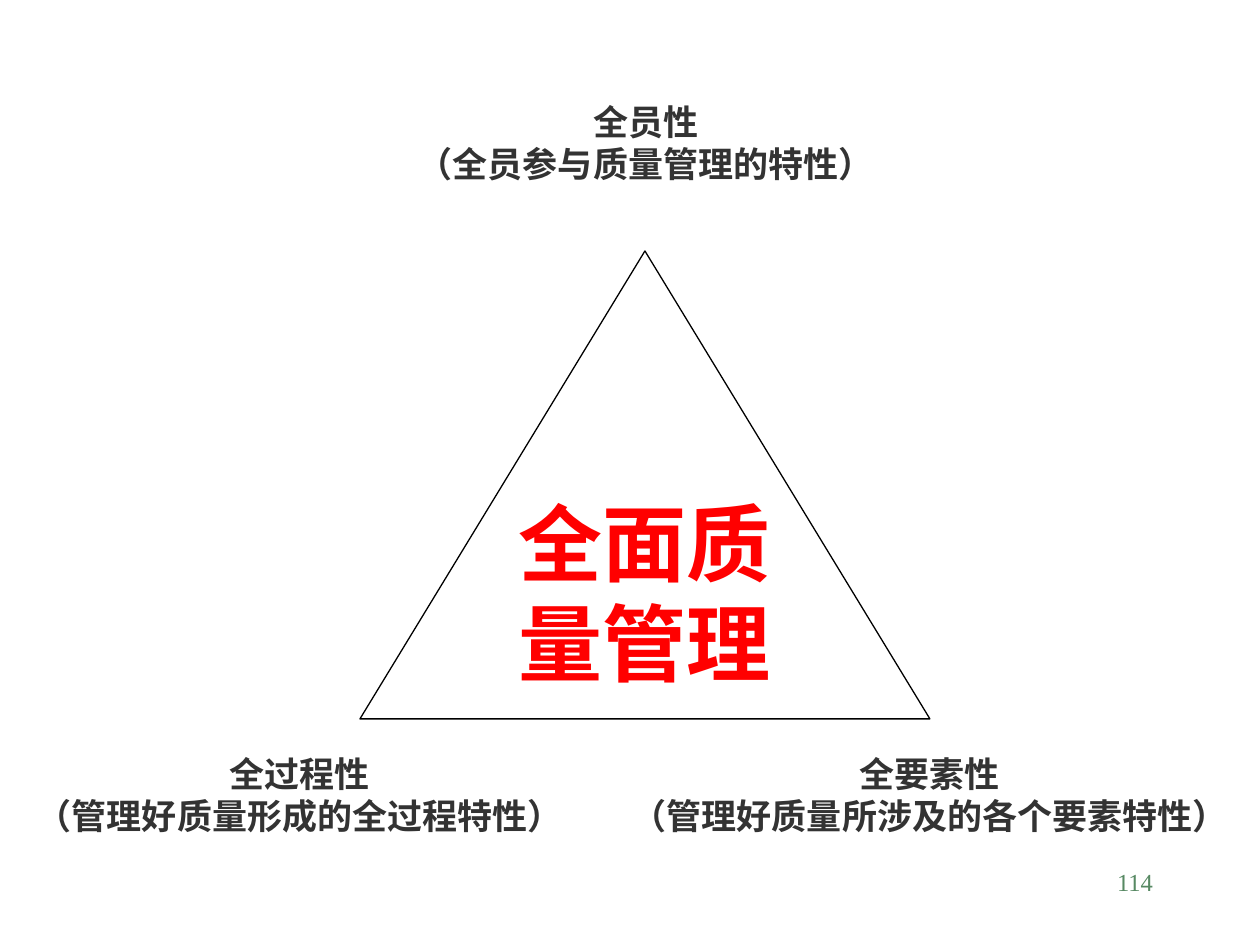
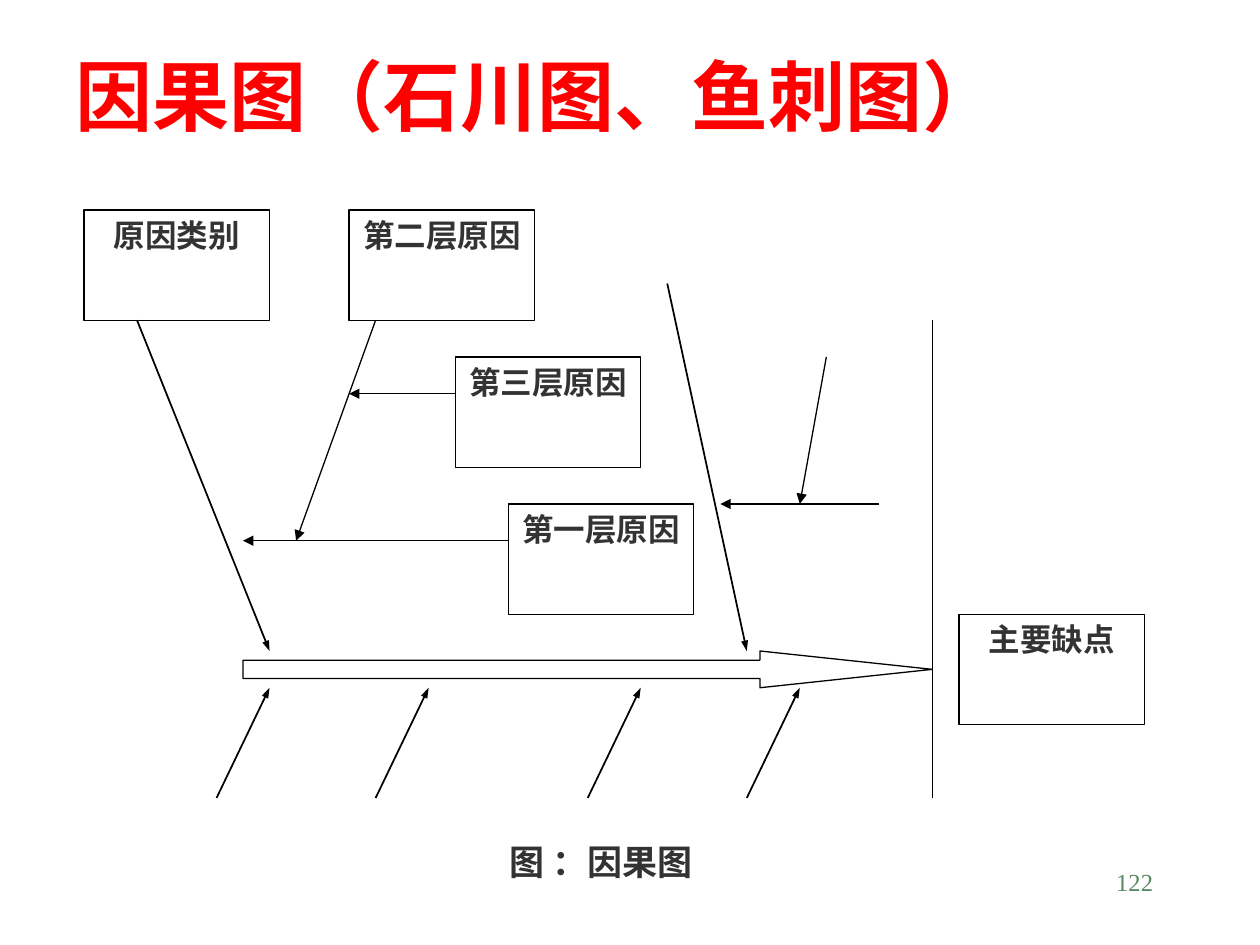
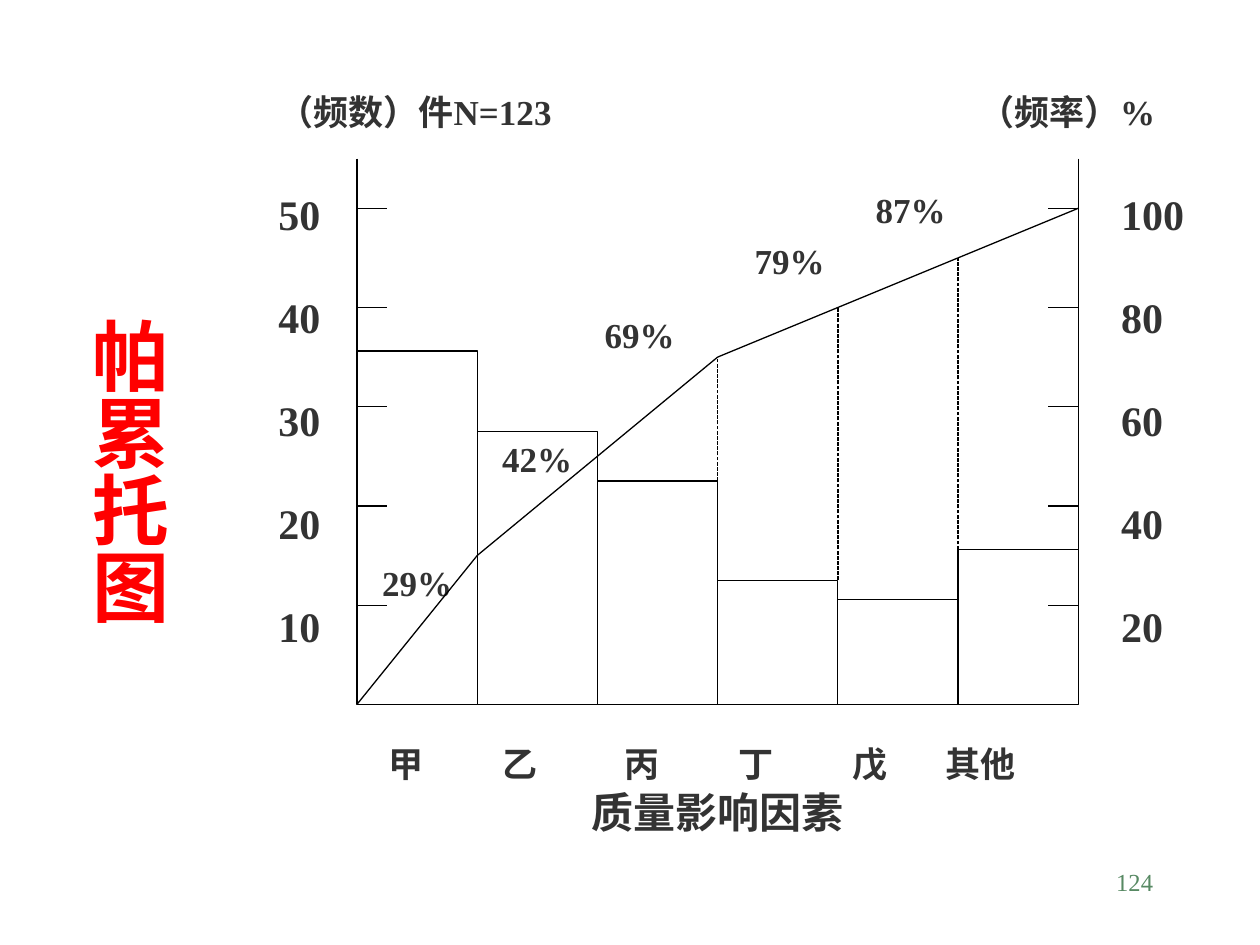
import pptx
import pptx.dml.color
import pptx.enum.dml
import pptx.enum.shapes
import pptx.enum.text
import pptx.oxml.ns
import pptx.oxml.xmlchemy
import pptx.util

Pt = pptx.util.Pt
RGBColor = pptx.dml.color.RGBColor
Shape = pptx.enum.shapes.MSO_SHAPE
Align = pptx.enum.text.PP_ALIGN
Anchor = pptx.enum.text.MSO_ANCHOR
qn = pptx.oxml.ns.qn
new_element = pptx.oxml.xmlchemy.OxmlElement

WHITE = RGBColor(0xFF, 0xFF, 0xFF)
BLACK = RGBColor(0x00, 0x00, 0x00)
RED = RGBColor(0xFF, 0x00, 0x00)
DARK = RGBColor(0x33, 0x33, 0x33)
GREEN = RGBColor(0x57, 0x89, 0x63)
FONT = "Times New Roman"
TITLE_SIZE = 44

# Fishbone grid
GRID_LEFT, GRID_TOP = 48, 120
COLUMN, ROW = 15.15, 21

# Pareto plot: one tick is 10 pieces or 20 %
PLOT_LEFT, PLOT_RIGHT = 204, 616.2
AXIS_TOP, PLOT_BOTTOM = 90.7, 402.5
TICK_STEP, TICK_LENGTH = 56.7, 17.3
SLOT = (PLOT_RIGHT - PLOT_LEFT) / 6
BAR_COUNTS = [35.6, 27.5, 22.5, 12.5, 10.6, 15.6]
CURVE_PERCENTS = [0, 30, 50, 70, 80, 90, 100]
CATEGORIES = ["甲", "乙", "丙", "丁", "戊", "其他"]
CATEGORY_STOPS = [21, 86, 156, 221, 286, 349]


def add_span(para, text, size, color=DARK, bold=True):
    span = para.add_run()
    span.text = text
    span.font.name = FONT
    span.font.size = Pt(size)
    span.font.bold = bold
    span.font.color.rgb = color


def add_lines(box, lines, size, color=DARK, align=Align.CENTER, gap=0, bold=True):
    """Write each line as a paragraph, with gap points between paragraphs."""
    frame = box.text_frame
    for index, line in enumerate(lines):
        para = frame.add_paragraph() if index else frame.paragraphs[0]
        para.alignment = align
        if index and gap:
            para.space_before = Pt(gap)
        add_span(para, line, size, color, bold)


def add_box(page, left, top, width, height, kind=Shape.RECTANGLE, outlined=False):
    box = page.shapes.add_shape(kind, Pt(left), Pt(top), Pt(width), Pt(height))
    box.shadow.inherit = False
    box.fill.solid()
    box.fill.fore_color.rgb = WHITE
    if outlined:
        box.line.color.rgb = BLACK
        box.line.width = Pt(0.75)
    else:
        box.line.fill.background()
    box.text_frame.word_wrap = True
    box.text_frame.vertical_anchor = Anchor.TOP
    return box


def add_label(page, left, top, width, height, lines, size=20, **style):
    add_lines(add_box(page, left, top, width, height), lines, size, **style)


def add_text_box(page, left, top, width, height):
    box = page.shapes.add_textbox(Pt(left), Pt(top), Pt(width), Pt(height))
    box.text_frame.word_wrap = True
    return box


def add_page_number(page, number):
    box = add_text_box(page, 516, 492, 150, 36)
    add_lines(box, [str(number)], 14, GREEN, Align.RIGHT, bold=False)


def add_line(page, start, end, weight=0.75, head_width=None, dotted=False):
    """Draw a line; head_width (sm, med, lg) puts an arrowhead at its end."""
    line = page.shapes.add_connector(
        pptx.enum.shapes.MSO_CONNECTOR.STRAIGHT, *[Pt(value) for value in (*start, *end)])
    line.line.color.rgb = BLACK
    line.line.width = Pt(weight)
    if dotted:
        line.line.dash_style = pptx.enum.dml.MSO_LINE.SQUARE_DOT
    properties = line._element.spPr
    if head_width:
        head = new_element("a:tailEnd")
        head.set("type", "triangle")
        head.set("w", head_width)
        properties.find(qn("a:ln")).append(head)
    properties.append(new_element("a:effectLst"))


def add_center_stops(para, stops):
    tabs = new_element("a:tabLst")
    for stop in stops:
        tab = new_element("a:tab")
        tab.set("pos", str(int(Pt(stop))))
        tab.set("algn", "ctr")
        tabs.append(tab)
    para._p.get_or_add_pPr().append(tabs)


def grid(column, row):
    return GRID_LEFT + column * COLUMN, GRID_TOP + row * ROW


def slot_left(index):
    return PLOT_LEFT + index * SLOT


def level(ticks):
    return PLOT_BOTTOM - ticks * TICK_STEP


def build_triangle(page):
    triangle = add_box(page, 205.7, 143.4, 325.7, 267.4, Shape.ISOSCELES_TRIANGLE, True)
    add_lines(triangle, ["全面质量管理"], 48, RED)
    for left, top, width, lines in [
        (223.2, 54, 291.6, ["全员性", "（全员参与质量管理的特性）"]),
        (0, 426.2, 342.7, ["全过程性", "（管理好质量形成的全过程特性）"]),
        (342.7, 426.2, 377.3, ["全要素性", "（管理好质量所涉及的各个要素特性）"]),
    ]:
        add_label(page, left, top, width, 77.8, lines)


def build_fishbone(page):
    title = add_text_box(page, 36, 30, 660, 48)
    title.text_frame.vertical_anchor = Anchor.MIDDLE
    add_lines(title, ["因果图（石川图、鱼刺图）"], TITLE_SIZE, RED, Align.LEFT)

    for column, row, text in [
        (0, 0, "原因类别"), (10, 0, "第二层原因"), (14, 4, "第三层原因"),
        (16, 8, "第一层原因"), (33, 11, "主要缺点"),
    ]:
        box = add_box(page, *grid(column, row), 7 * COLUMN, 3 * ROW, outlined=True)
        add_lines(box, [text], 18)

    add_line(page, grid(32, 3), grid(32, 16))
    spine = add_box(page, *grid(6, 12), 26 * COLUMN, ROW, Shape.RIGHT_ARROW, True)
    spine.adjustments[1] = 4.69

    lower_ribs = [((column, 16), (column + 2, 13)) for column in (5, 11, 19, 25)]
    for start, end in [((2, 3), (7, 12)), ((22, 2), (25, 12)), *lower_ribs]:
        add_line(page, grid(*start), grid(*end), weight=1, head_width="sm")
    for start, end in [
        ((16, 9), (6, 9)), ((11, 3), (8, 9)), ((14, 5), (10, 5)),
        ((30, 8), (24, 8)), ((28, 4), (27, 8)),
    ]:
        add_line(page, grid(*start), grid(*end), head_width="med")

    add_label(page, *grid(14, 17), 11 * COLUMN, 3 * ROW, ["图 ：因果图"])


def add_pareto_bars(page):
    bars = []
    for index, count in enumerate(BAR_COUNTS):
        top = level(count / 10)
        bars.append(add_box(page, slot_left(index), top, SLOT, PLOT_BOTTOM - top, outlined=True))
    bars[0].text_frame.margin_top = Pt(120)
    add_lines(bars[0], ["29%"], 20)
    add_lines(bars[1], ["42%"], 20)


def add_pareto_labels(page):
    add_label(page, 152, 48, 172, 42.5, ["（频数）件N=123"], align=Align.JUSTIFY)
    add_label(page, 547.2, 48, 120, 42.5, ["（频率）%"], align=Align.RIGHT)
    ticks = range(5, 0, -1)
    for left, width, unit in [(152, 52, 10), (633.6, 68.4, 20)]:
        add_label(page, left, 104.4, width, 269.3, [str(tick * unit) for tick in ticks],
                  24, align=Align.LEFT, gap=30)
    for left, top, text in [(324, 175.7, "69%"), (409.7, 133.2, "79%"), (478.8, 104.4, "87%")]:
        add_label(page, left, top, SLOT, 42.5, [text], align=Align.RIGHT)

    names = add_box(page, PLOT_LEFT, 417, PLOT_RIGHT - PLOT_LEFT, 99.4)
    para = names.text_frame.paragraphs[0]
    para.alignment = Align.LEFT
    add_center_stops(para, CATEGORY_STOPS)
    add_span(para, "\t", 24)
    add_span(para, "\t".join(CATEGORIES), 20)
    para = names.text_frame.add_paragraph()
    para.alignment = Align.CENTER
    add_span(para, "质量影响因素", 24)


def add_pareto_lines(page):
    for axis, tick_start in [(PLOT_LEFT, PLOT_LEFT), (PLOT_RIGHT, PLOT_RIGHT - TICK_LENGTH)]:
        add_line(page, (axis, AXIS_TOP), (axis, PLOT_BOTTOM))
        for tick in range(1, 6):
            add_line(page, (tick_start, level(tick)), (tick_start + TICK_LENGTH, level(tick)))

    points = [(slot_left(index), level(percent / 20))
              for index, percent in enumerate(CURVE_PERCENTS)]
    for start, end in zip(points, points[1:]):
        add_line(page, start, end)
    for index in (3, 4, 5):
        bar_top = level(max(BAR_COUNTS[index - 1:index + 1]) / 10)
        add_line(page, (points[index][0], bar_top), points[index], dotted=True)


def build_pareto(page):
    add_pareto_bars(page)
    add_pareto_labels(page)
    add_pareto_lines(page)

    title = page.shapes.add_textbox(Pt(36), Pt(174.2), Pt(67), Pt(183.6))
    frame = title.text_frame
    frame.margin_left = frame.margin_right = Pt(3.6)
    frame.margin_top = frame.margin_bottom = Pt(7.2)
    frame.word_wrap = False
    frame._txBody.find(qn("a:bodyPr")).set("vert", "eaVert")
    add_lines(title, ["帕累托图"], TITLE_SIZE, RED, Align.LEFT)


def main():
    deck = pptx.Presentation()
    deck.slide_width, deck.slide_height = Pt(720), Pt(540)
    for build, number in [(build_triangle, 114), (build_fishbone, 122), (build_pareto, 124)]:
        page = deck.slides.add_slide(deck.slide_layouts[6])
        build(page)
        add_page_number(page, number)
    deck.save("out.pptx")


if __name__ == "__main__":
    main()
